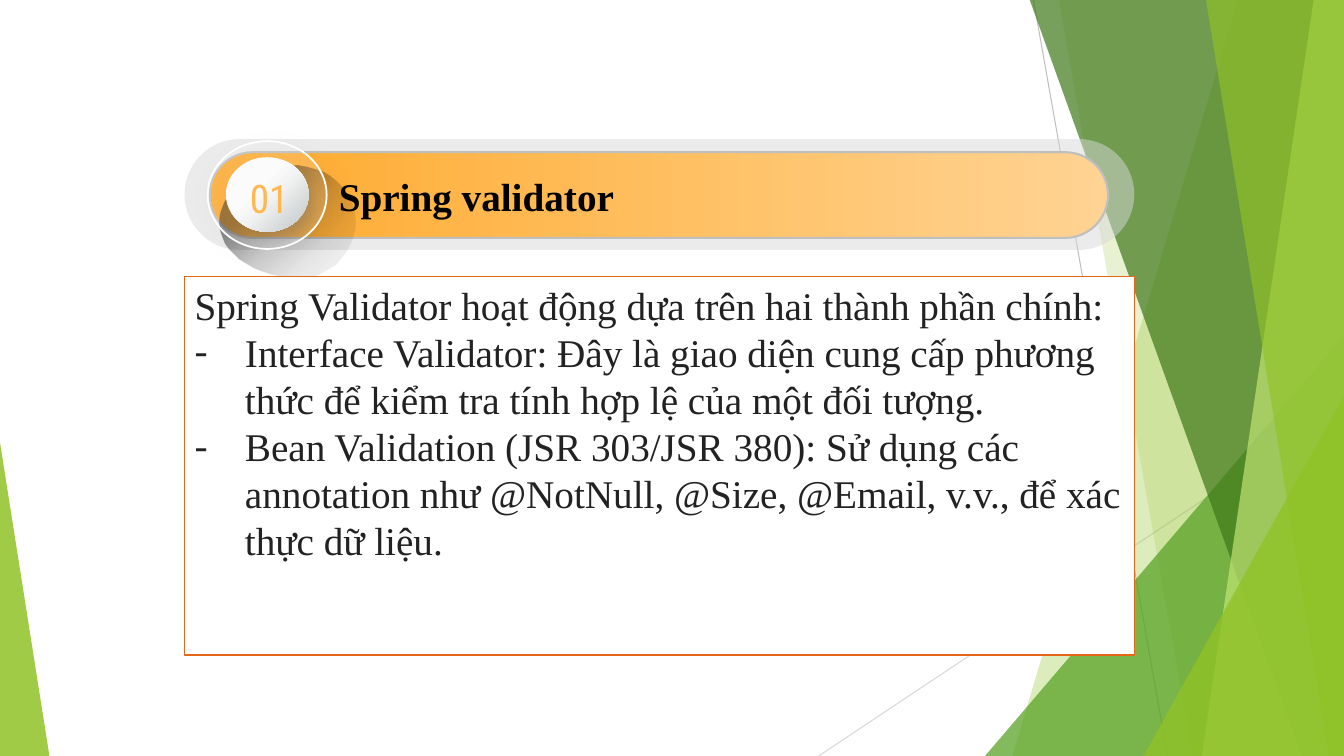
from lxml import etree
from pptx import Presentation
from pptx import util as u
from pptx.dml import color as dml
from pptx.enum import shapes as sh, text as tx
from pptx.oxml import ns

PX = 9144
SERIF = "Times New Roman"
GREEN, LIME, GRAY = "90C226", "C0E474", "BFBFBF"
BLADES = [
    ([(1228, -1), (1333, -1), (1333, 750), (1004, 750)], GREEN, 30),
    ([(1050, -1), (1333, -1), (1333, 750), (1183, 750)], GREEN, 20),
    (None, "54A021", 72),
    ([(1021, -1), (1333, -1), (1333, 750), (1291, 750)], "3F7819", 70),
    ([(1303, -1), (1333, -1), (1333, 750), (1192, 750)], LIME, 70),
    ([(1196, -1), (1333, -1), (1333, 750), (1318, 750)], GREEN, 65),
]
DROP = [(248, 258), (226, 227), (218, 193), (239, 171), (261, 150),
        (297, 158), (326, 180), (355, 202), (355, 245), (334, 266),
        (312, 288), (269, 288), (248, 258)]
SHADE = [(0, "000000", 100), (17, "000000", 46), (34, "000000", 43),
         (51, "000000", 20), (65, "000000", 10), (78, "000000", 5),
         (100, "000000", 0)]
ITEMS = [
    "Interface Validator: Đây là giao diện cung cấp phương thức để kiểm tra "
    "tính hợp lệ của một đối tượng.",
    "Bean Validation (JSR 303/JSR 380): Sử dụng các annotation như @NotNull, "
    "@Size, @Email, v.v., để xác thực dữ liệu.",
]


def px(*nums):
    return [u.Emu(n * PX) for n in nums]


def rgb(code):
    return dml.RGBColor.from_string(code)


def node(top, tag, **attrs):
    item = etree.SubElement(top, ns.qn("a:" + tag))
    for key, val in attrs.items():
        item.set(key, str(val))
    return item


def tint(top, code, alpha=100):
    item = node(top, "srgbClr", val=code)
    if alpha < 100:
        node(item, "alpha", val=alpha * 1000)


def paint(shape, code, alpha=100):
    shape.fill.solid()
    shape.fill.fore_color.rgb = rgb(code)
    if alpha < 100:
        clr = shape.element.spPr.find(".//" + ns.qn("a:srgbClr"))
        node(clr, "alpha", val=alpha * 1000)


def blend(shape, stops, angle):
    shape.fill.gradient()
    grad = shape.element.spPr.find(ns.qn("a:gradFill"))
    for kid in list(grad):
        grad.remove(kid)
    row = node(grad, "gsLst")
    for pos, code, *alpha in stops:
        tint(node(row, "gs", pos=pos * 1000), code, *alpha)
    node(grad, "lin", ang=angle * 60000, scaled=0)


def edge(shape, code=None, width=1):
    if code:
        shape.line.color.rgb = rgb(code)
        shape.line.width = u.Pt(width)
    else:
        shape.line.fill.background()


def glow(shape, code, alpha, blur):
    list_ = shape.element.spPr.find(ns.qn("a:effectLst"))
    cast = node(list_, "outerShdw", blurRad=u.Pt(blur), dist=u.Pt(7),
                dir=45 * 60000, algn="tl", rotWithShape=0)
    tint(cast, code, alpha)


def form(slide, kind, box, adj=None):
    shape = slide.shapes.add_shape(kind, *px(*box))
    if adj is not None:
        shape.adjustments[0] = adj
    edge(shape)
    shape.shadow.inherit = False
    return shape


def wedge(slide, box, adj, code, alpha):
    paint(form(slide, sh.MSO_SHAPE.ISOSCELES_TRIANGLE, box, adj), code, alpha)


def outline(slide, points):
    pen = slide.shapes.build_freeform(*points[0], scale=PX)
    pen.add_line_segments(points[1:], close=True)
    shape = pen.convert_to_shape()
    edge(shape)
    shape.shadow.inherit = False
    return shape


def curve(knots, steps=12):
    points = [knots[0]]
    for at in range(0, len(knots) - 1, 3):
        for step in range(1, steps + 1):
            t = step / steps
            rate = ((1 - t) ** 3, 3 * t * (1 - t) ** 2,
                    3 * t * t * (1 - t), t ** 3)
            points.append(tuple(
                round(sum(r * k[axis] for r, k in zip(rate, knots[at:at + 4])), 2)
                for axis in (0, 1)))
    return points


def line(slide, ends, code):
    wire = slide.shapes.add_connector(sh.MSO_CONNECTOR.STRAIGHT, *px(*ends))
    edge(wire, code, 0.75)
    node(wire.element.spPr, "effectLst")


def write(para, words, font, code, bold=False):
    para.alignment = tx.PP_ALIGN.LEFT
    para.space_before = u.Pt(0)
    run = para.add_run()
    run.text = words
    run.font.name = font
    run.font.size = u.Pt(28)
    run.font.bold = bold
    run.font.color.rgb = rgb(code)


def place(shape, box, anchor):
    shape.left, shape.top, shape.width, shape.height = px(*box)
    frame = shape.text_frame
    frame.word_wrap = True
    frame.auto_size = tx.MSO_AUTO_SIZE.NONE
    frame.vertical_anchor = anchor
    shape.element.getparent().append(shape.element)
    return frame


def bullet(para, sign=None):
    props = para._p.get_or_add_pPr()
    props.set("marL", str(50 * PX if sign else 0))
    props.set("indent", str(-50 * PX if sign else 0))
    if sign:
        node(props, "buFont", typeface=SERIF)
        node(props, "buChar", char=sign)
    else:
        node(props, "buNone")


def scene(slide):
    line(slide, (1025, 0, 1158, 750), GRAY)
    line(slide, (1333, 403, 812, 750), "D9D9D9")
    for points, code, alpha in BLADES:
        if points:
            paint(outline(slide, points), code, alpha)
        else:
            wedge(slide, (977, 333, 356, 417), 1, code, alpha)
    wedge(slide, (1134, 393, 199, 357), 1, GREEN, 80)
    wedge(slide, (0, 439, 49, 311), 0, GREEN, 85)


def banner(slide):
    pill = sh.MSO_SHAPE.ROUNDED_RECTANGLE
    paint(form(slide, pill, (183, 138, 942, 110), 0.5), "D8D8D8", 50)
    bar = form(slide, pill, (208, 151, 891, 85), 0.5)
    blend(bar, [(0, "FFAA2D"), (100, "FFD393")], 0)
    edge(bar, GRAY, 1.5)


def badge(slide):
    oval = sh.MSO_SHAPE.OVAL
    drop = outline(slide, curve(DROP))
    drop.rotation = 315
    blend(drop, SHADE, 90)
    ball = form(slide, oval, (234, 167, 69, 62))
    blend(ball, [(0, "FFFFFF"), (43, "F7F7F7"), (100, "B8C0C0")], 45)
    glow(ball, "494949", 30, 11)
    face = form(slide, oval, (224, 156, 82, 74))
    blend(face, [(0, "FFFFFF"), (39, "FFFFFF"), (53, "F7F7F7"),
                 (100, "B8C0C0")], 45)
    ring = form(slide, oval, (206, 140, 118, 107))
    paint(ring, "FFFFFF", 14)
    edge(ring, "FFFFFF", 1.25)
    glow(ring, "000000", 11, 17)
    label = slide.shapes.add_textbox(*px(238, 168, 68, 57))
    label.text_frame.word_wrap = True
    write(label.text_frame.paragraphs[0], "01", "Roboto Condensed", "FFB850")


def main():
    deck = Presentation()
    deck.slide_width, deck.slide_height = px(1333, 750)
    slide = deck.slides.add_slide(deck.slide_layouts[1])
    scene(slide)
    banner(slide)
    badge(slide)
    title, body = slide.placeholders
    frame = place(title, (326, 166, 755, 57), tx.MSO_ANCHOR.TOP)
    write(frame.paragraphs[0], "Spring validator", SERIF, "000000", True)
    frame = place(body, (183, 274, 942, 376), tx.MSO_ANCHOR.TOP)
    paint(body, "FFFFFF")
    edge(body, "E76618")
    lead = frame.paragraphs[0]
    bullet(lead)
    write(lead, "Spring Validator hoạt động dựa trên hai thành phần chính:",
          SERIF, "222222")
    for words in ITEMS:
        para = frame.add_paragraph()
        bullet(para, "-")
        write(para, words, SERIF, "222222")
    deck.save("out.pptx")


if __name__ == "__main__":
    main()
